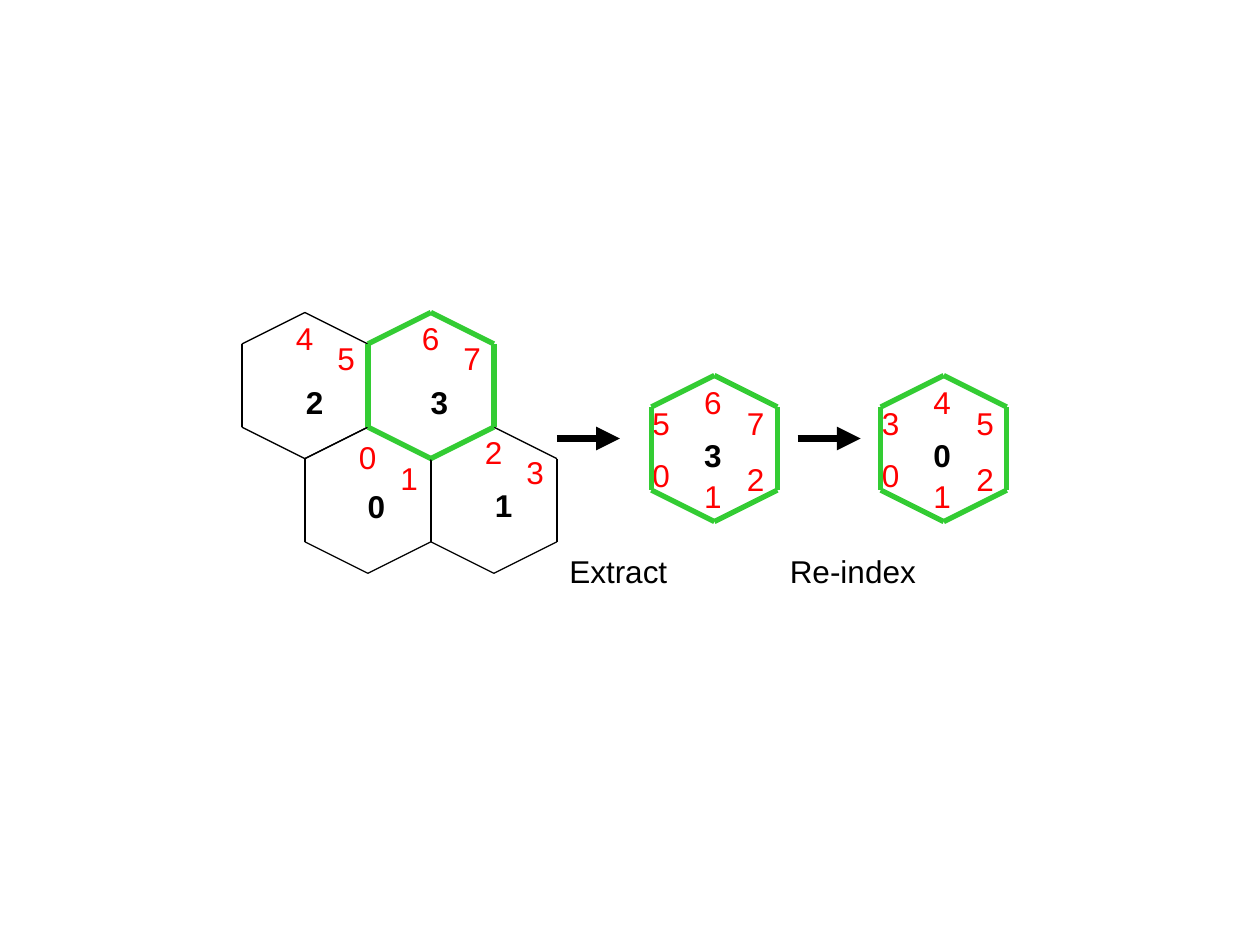
from lxml.etree import SubElement
from pptx import Presentation
from pptx.dml.color import RGBColor
from pptx.enum.shapes import MSO_CONNECTOR
from pptx.enum.text import MSO_AUTO_SIZE
from pptx.oxml.ns import qn
from pptx.util import Inches, Pt

COLORS = {"ink": "000000", "vertex": "FF0000", "selected": "33CC33"}

# Hexagon corners, measured from the top corner
CORNERS = {
    "top": (0, 0), "upper right": (0.5, 0.25), "lower right": (0.5, 0.91),
    "bottom": (0, 1.16), "lower left": (-0.5, 0.91), "upper left": (-0.5, 0.25),
}
EDGES = [
    ("top", "upper left"), ("top", "upper right"), ("lower left", "bottom"),
    ("bottom", "lower right"), ("upper left", "lower left"), ("upper right", "lower right"),
]
SHARED_EDGE = ("upper right", "lower right")

# Top corner, cell index and its offset, vertex indices, their drop, edge color, edges left out
MESH = [
    ((2.42, 2.48), "2", (-0.09, 0.51), "45", 0, "ink", []),
    ((2.92, 3.39), "0", (-0.10, 0.43), "01", 0.04, "ink", [SHARED_EDGE]),
    ((3.92, 3.39), "1", (-0.09, 0.42), "23", 0, "ink", []),
    ((3.42, 2.48), "3", (-0.10, 0.51), "67", 0, "selected", []),
]
MESH_VERTEX_OFFSETS = [(-0.17, 0), (0.16, 0.16)]

# Top corner, cell index, vertex indices from lower left counterclockwise
SINGLE_CELLS = [((5.67, 2.98), "3", "012765"), ((7.49, 2.98), "0", "012543")]
SINGLE_VERTEX_OFFSETS = [
    (-0.59, 0.59), (-0.18, 0.76), (0.16, 0.62),
    (0.16, 0.18), (-0.18, 0.01), (-0.59, 0.18),
]
SINGLE_INDEX_OFFSET = (-0.18, 0.43)

# Arrow start, label, label left, label width
STEPS = [(4.42, "Extract", 4.42, 0.98), (6.33, "Re-index", 6.17, 1.2)]
ARROW_Y, ARROW_LENGTH, STEP_LABEL_Y = 3.48, 0.5, 4.33
DIGIT_WIDTH, LABEL_HEIGHT = 0.34, 0.4


def shift(point, offset):
    return point[0] + offset[0], point[1] + offset[1]


def add_line(slide, start, end, color, weight, arrow=False):
    line = slide.shapes.add_connector(
        MSO_CONNECTOR.STRAIGHT, *(Inches(value) for value in (*start, *end)))
    line.line.color.rgb = RGBColor.from_string(COLORS[color])
    line.line.width = Pt(weight)
    if arrow:
        SubElement(line.line._get_or_add_ln(), qn("a:tailEnd"), type="triangle")
    SubElement(line._element.spPr, qn("a:effectLst"))


def add_label(slide, wording, position, color="ink", bold=False, width=DIGIT_WIDTH):
    label = slide.shapes.add_textbox(
        *(Inches(value) for value in (*position, width, LABEL_HEIGHT)))
    frame = label.text_frame
    frame.word_wrap = False
    frame.auto_size = MSO_AUTO_SIZE.SHAPE_TO_FIT_TEXT
    frame.text = wording
    font = frame.paragraphs[0].runs[0].font
    font.name, font.size, font.bold = "Arial", Pt(18), bold
    font.color.rgb = RGBColor.from_string(COLORS[color])


def add_hexagon(slide, top, color, left_out=()):
    weight = 3 if color == "selected" else 0.75
    for edge in EDGES:
        if edge not in left_out:
            start, end = (shift(top, CORNERS[corner]) for corner in edge)
            add_line(slide, start, end, color, weight)


def add_indices(slide, top, cell, cell_offset, vertices, vertex_offsets):
    for vertex, offset in zip(vertices, vertex_offsets):
        add_label(slide, vertex, shift(top, offset), "vertex")
    add_label(slide, cell, shift(top, cell_offset), bold=True)


def main():
    deck = Presentation()
    deck.slide_width, deck.slide_height = Inches(10), Inches(7.5)
    slide = deck.slides.add_slide(deck.slide_layouts[6])

    for top, _, _, _, _, color, left_out in MESH:
        add_hexagon(slide, top, color, left_out)
    for top, cell, cell_offset, vertices, drop, _, _ in MESH:
        offsets = [shift(offset, (0, drop)) for offset in MESH_VERTEX_OFFSETS]
        add_indices(slide, top, cell, cell_offset, vertices, offsets)

    for top, cell, vertices in SINGLE_CELLS:
        add_indices(slide, top, cell, SINGLE_INDEX_OFFSET, vertices, SINGLE_VERTEX_OFFSETS)
        add_hexagon(slide, top, "selected")

    for x, step, label_x, width in STEPS:
        add_line(slide, (x, ARROW_Y), (x + ARROW_LENGTH, ARROW_Y), "ink", 4.5, arrow=True)
        add_label(slide, step, (label_x, STEP_LABEL_Y), width=width)

    deck.save("out.pptx")


if __name__ == "__main__":
    main()
